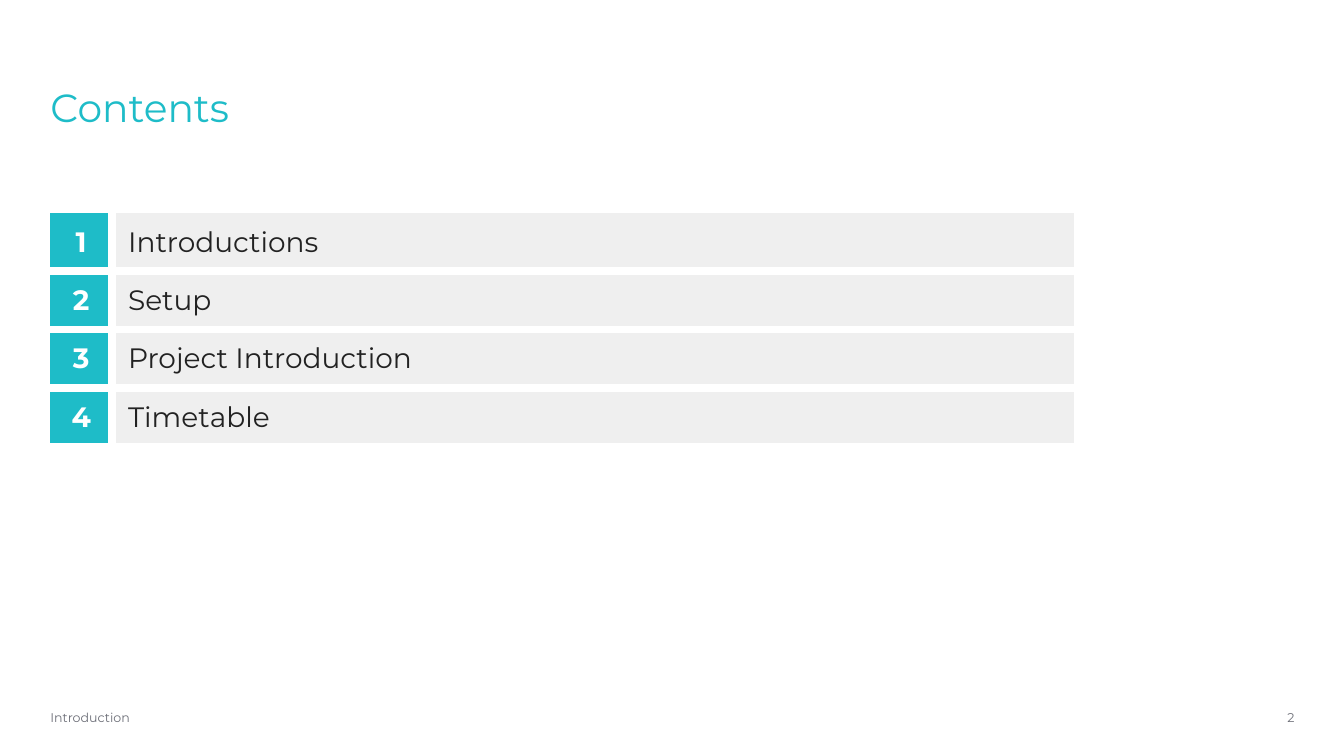
import lxml.etree
import pptx
import pptx.dml.color
import pptx.enum.text
import pptx.oxml.ns
import pptx.util

COLORS = {"teal": "1EBCC8", "white": "FFFFFF", "ink": "222222", "band": "EFEFEF", "muted": "6D6F78"}
ALIGN = pptx.enum.text.PP_ALIGN
ANCHOR = pptx.enum.text.MSO_ANCHOR
TOPICS = ["Introductions", "Setup", "Project Introduction", "Timetable"]


class ContentsPage:
    """Holds the style and the current slide; places are percentages of the slide's size."""

    def __init__(self, deck, font="Montserrat"):
        self.deck = deck
        self.font = font
        self.page = deck.slides.add_slide(deck.slide_layouts[5])

    def across(self, share):
        return round(self.deck.slide_width * share / 100)

    def down(self, share):
        return round(self.deck.slide_height * share / 100)

    def place(self, left, top, width, height):
        return self.across(left), self.down(top), self.across(width), self.down(height)

    def color(self, name):
        return pptx.dml.color.RGBColor.from_string(COLORS[name])

    def fill_text(self, frame, text, size, color, align=ALIGN.LEFT, bold=False):
        frame.text = text
        para = frame.paragraphs[0]
        para.alignment = align
        para.font.name = self.font
        para.font.size = pptx.util.Pt(size)
        para.font.bold = bold
        para.font.color.rgb = self.color(color)
        return para

    def set_up(self, frame, anchor):
        frame.word_wrap = True
        frame.auto_size = pptx.enum.text.MSO_AUTO_SIZE.NONE
        frame.vertical_anchor = anchor
        frame.margin_left = frame.margin_right = frame.margin_top = frame.margin_bottom = 0

    def title(self, text, *area):
        box = self.page.shapes.title
        box.left, box.top, box.width, box.height = self.place(*area)
        self.set_up(box.text_frame, ANCHOR.TOP)
        self.fill_text(box.text_frame, text, 28, "teal").line_spacing = 0.9

    def label(self, text, *area, align=ALIGN.LEFT):
        box = self.page.shapes.add_textbox(*self.place(*area))
        self.set_up(box.text_frame, ANCHOR.MIDDLE)
        self.fill_text(box.text_frame, text, 9, "muted", align)

    def borders(self, cell, drawn):
        properties = cell._tc.get_or_add_tcPr()
        tag = pptx.oxml.ns.qn
        for side in "LRTB":
            line = lxml.etree.SubElement(properties, tag(f"a:ln{side}"))
            if side in drawn:
                line.set("w", str(pptx.util.Pt(6)))
                fill = lxml.etree.SubElement(line, tag("a:solidFill"))
                lxml.etree.SubElement(fill, tag("a:srgbClr"), val=COLORS["white"])
            else:
                lxml.etree.SubElement(line, tag("a:noFill"))

    def cell(self, cell, text, fill, color, margin, drawn, **style):
        self.borders(cell, drawn)
        cell.fill.solid()
        cell.fill.fore_color.rgb = self.color(fill)
        cell.vertical_anchor = ANCHOR.MIDDLE
        cell.margin_left = cell.margin_right = pptx.util.Inches(0.16)
        cell.margin_top = cell.margin_bottom = pptx.util.Inches(margin)
        self.fill_text(cell.text_frame, text, 20, color, **style)

    def agenda(self, topics, left, top, widths, row_height):
        area = self.place(left, top, sum(widths), row_height * len(topics))
        table = self.page.shapes.add_table(len(topics), len(widths), *area).table
        table.first_row = table.horz_banding = False
        for column, width in zip(table.columns, widths):
            column.width = self.across(width)
        for index, topic in enumerate(topics):
            table.rows[index].height = self.down(row_height)
            inner = "TB" if index else "B"
            self.cell(table.cell(index, 0), str(index + 1), "teal", "white", 0.12,
                      inner + "R", align=ALIGN.CENTER, bold=True)
            self.cell(table.cell(index, 1), topic, "band", "ink", 0.08, inner + "L")


deck = pptx.Presentation()
deck.slide_width = pptx.util.Inches(13.33)
deck.slide_height = pptx.util.Inches(7.5)
page = ContentsPage(deck)
page.title("Contents", 3.75, 11.73, 86.57, 16.53)
page.agenda(TOPICS, 3.75, 28.13, [4.58, 71.57], 7.67)
page.label("Introduction", 3.75, 93.2, 68.34, 3.33)
page.label("2", 90.32, 93.2, 6, 3.33, align=ALIGN.RIGHT)
deck.save("out.pptx")
